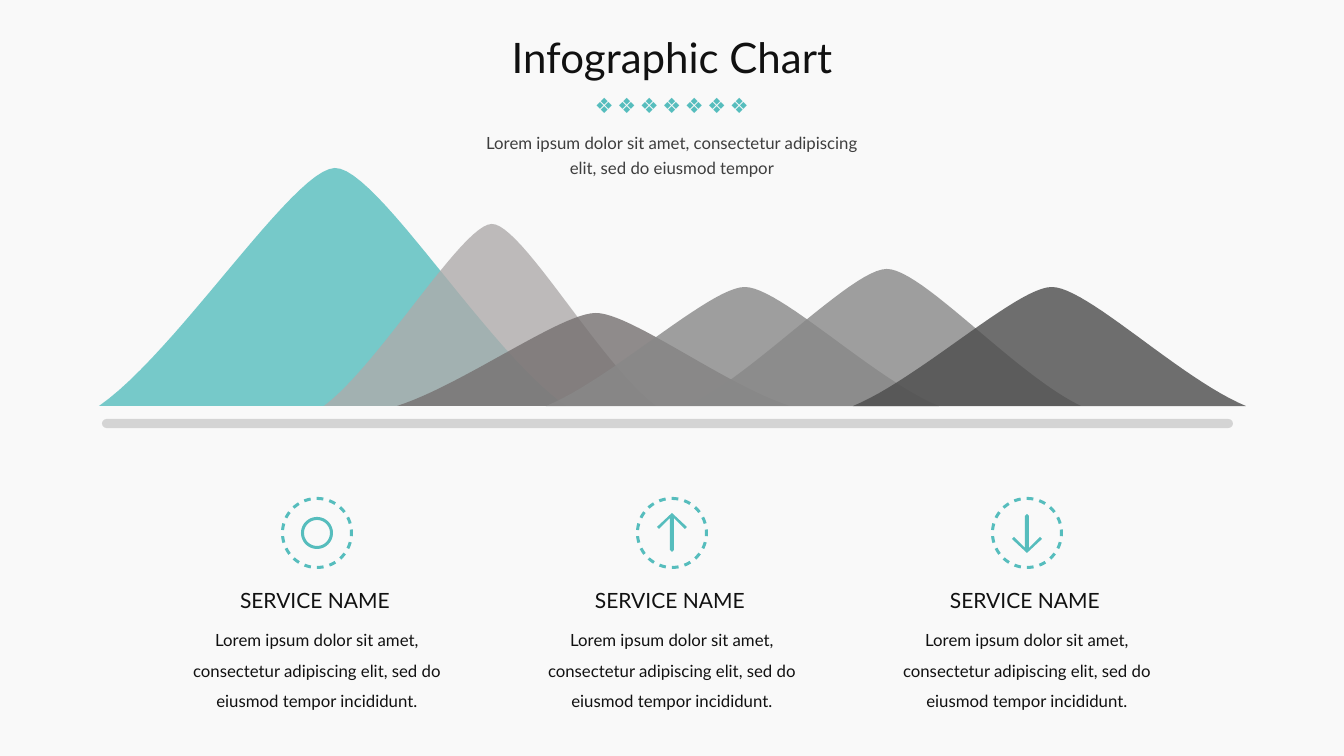
from math import cos, sin, radians

from lxml.etree import SubElement
from pptx import Presentation
from pptx.dml.color import RGBColor
from pptx.enum.shapes import MSO_SHAPE
from pptx.enum.text import MSO_ANCHOR, MSO_AUTO_SIZE, PP_ALIGN
from pptx.oxml.ns import qn
from pptx.util import Pt

ROUND = MSO_SHAPE.ROUNDED_RECTANGLE
TOP = MSO_ANCHOR.TOP
FIXED = MSO_AUTO_SIZE.NONE
LEFT, MID = PP_ALIGN.LEFT, PP_ALIGN.CENTER

WIDE, HIGH = 1344, 756
SCALE = 12192000 / WIDE
TEAL, INK, GREY = "56BDBD", "111111", "3E3E3E"
BASE = 406
HILLS = [
    (99, 467, 238, TEAL),
    (324, 332, 182, "AEABAB"),
    (397, 393, 93, "757070"),
    (546, 393, 119, "888888"),
    (688, 393, 137, "888888"),
    (853, 393, 119, "4C4C4C"),
]
RISE = [(0, 0), (0.166, 0.225), (0.416, 0.995), (0.505, 1)]
FALL = [(0.505, 1), (0.594, 1.005), (0.834, 0.225), (1, 0)]
ARROW = [(0, -20), (15, -6), (13, -4), (2, -15), (2, 17),
         (0, 19), (-2, 17), (-2, -15), (-13, -4), (-15, -6)]
DASHES = 17
LOREM = "Lorem ipsum dolor sit amet, consectetur adipiscing elit, sed do eiusmod tempor"


def px(n):
    """Turn pixels into EMU."""
    return round(n * SCALE)


def rgb(code):
    """Turn a hex string into a colour."""
    return RGBColor.from_string(code)


def paint(shape, code):
    """Give a shape a flat fill with no line or shadow."""
    shape.shadow.inherit = False
    shape.fill.solid()
    shape.fill.fore_color.rgb = rgb(code)
    shape.line.fill.background()


def fade(shape, part):
    """Set the opacity of a filled shape in percent."""
    tint = shape.element.spPr.find(qn("a:solidFill")).find(qn("a:srgbClr"))
    SubElement(tint, qn("a:alpha")).set("val", str(part * 1000))


def draw(slide, loops, code):
    """Draw closed loops of points as one filled outline."""
    loops = [[(px(x), px(y)) for x, y in loop] for loop in loops]
    pen = slide.shapes.build_freeform(*loops[0][0], scale=1.0)
    for i, loop in enumerate(loops):
        if i:
            pen.move_to(*loop[0])
        pen.add_line_segments(loop[1:], close=True)
    shape = pen.convert_to_shape()
    paint(shape, code)
    return shape


def curve(ends, steps=24):
    """Sample a cubic curve given by four points."""
    for i in range(steps + 1):
        t = i / steps
        s = 1 - t
        parts = (s ** 3, 3 * s * s * t, 3 * s * t * t, t ** 3)
        yield tuple(sum(k * p[j] for k, p in zip(parts, ends)) for j in (0, 1))


def hill(slide, left, width, height, code):
    """Draw one see-through hill on the base line."""
    line = [*curve(RISE), *list(curve(FALL))[1:]]
    loop = [(left + x * width, BASE - y * height) for x, y in line]
    fade(draw(slide, [loop], code), 80)


def arc(size, start, end, steps):
    """Sample an arc about the origin, in degrees."""
    turns = [radians(start + (end - start) * i / steps) for i in range(steps + 1)]
    return [(size * cos(a), size * sin(a)) for a in turns]


def icon(slide, x, y, mark):
    """Draw a dashed ring around a mark."""
    loops = list(mark)
    for i in range(DASHES):
        start = 90 - i * 360 / DASHES
        end = start - 11
        loops.append(arc(36, start, end, 4) + arc(33, end, start, 4))
    draw(slide, [[(x + a, y + b) for a, b in loop] for loop in loops], TEAL)


def write(box, text, size, code, align=MID, space=1.0, font="Lato", wrap=True):
    """Fill a text shape and format its single run."""
    frame = box.text_frame
    frame.text = text
    frame.auto_size = FIXED
    frame.word_wrap = wrap
    frame.vertical_anchor = TOP
    frame.margin_left = frame.margin_right = 0
    frame.margin_top = frame.margin_bottom = 0
    para = frame.paragraphs[0]
    para.alignment = align
    para.line_spacing = space
    face = para.runs[0].font
    face.name, face.size, face.color.rgb = font, Pt(size), rgb(code)


def label(slide, x, y, w, h, *args, **style):
    """Add a text box with formatted text."""
    box = slide.shapes.add_textbox(px(x), px(y), px(w), px(h))
    write(box, *args, **style)


def main():
    """Build the slide and save it."""
    deck = Presentation()
    deck.slide_width, deck.slide_height = px(WIDE), px(HIGH)
    slide = deck.slides.add_slide(deck.slide_layouts[5])
    slide.background.fill.solid()
    slide.background.fill.fore_color.rgb = rgb("F9F9F9")

    title = slide.shapes.title
    title.left, title.top, title.width, title.height = map(px, (507, 32, 330, 50))
    write(title, "Infographic Chart", 30, INK)
    for i in range(7):
        label(slide, 595 + i * 22.5, 93, 19, 25, "❖", 15, TEAL,
              align=LEFT, font="Calibri", wrap=False)
    label(slide, 473, 128, 398, 48, LOREM, 12, GREY, space=1.25)

    for spec in HILLS:
        hill(slide, *spec)
    bar = slide.shapes.add_shape(ROUND, px(102), px(419), px(1131), px(9))
    bar.adjustments[0] = 0.5
    paint(bar, "D4D4D4")

    ring = [arc(16, 0, 360, 48), arc(13, 360, 0, 48)]
    down = [(x, -y) for x, y in ARROW]
    for i, mark in enumerate((ring, [ARROW], [down])):
        mid = 317 + i * 355
        icon(slide, mid, 533, mark)
        label(slide, mid - 77, 588, 154, 25, "SERVICE NAME", 15, INK, align=LEFT)
        label(slide, mid - 132, 620, 264, 92, LOREM + " incididunt.", 12, INK,
              space=1.5)

    deck.save("out.pptx")


if __name__ == "__main__":
    main()
